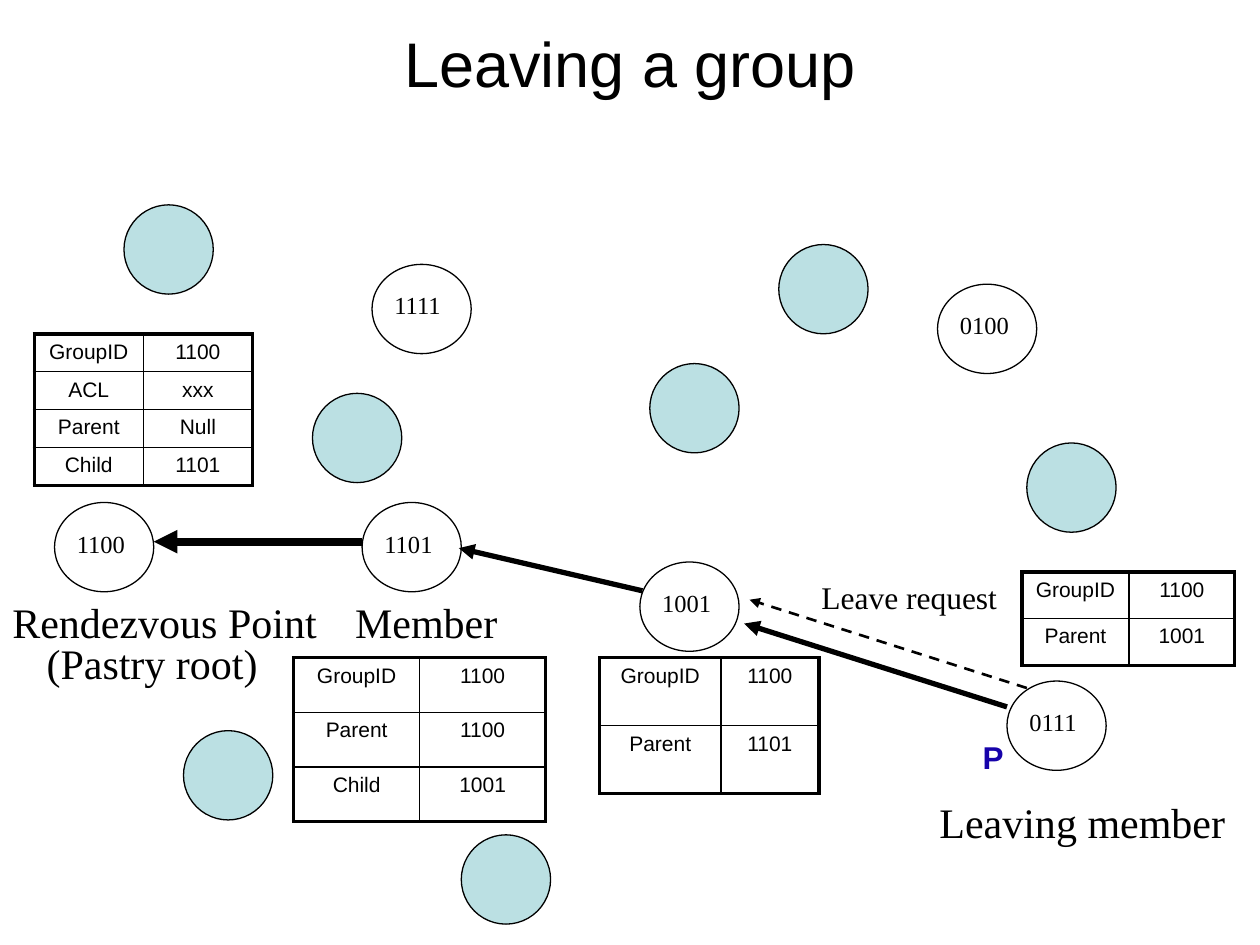
from lxml import etree
from pptx import Presentation
from pptx.dml.color import RGBColor
from pptx.enum.dml import MSO_LINE
from pptx.enum.shapes import MSO_CONNECTOR, MSO_SHAPE
from pptx.enum.text import MSO_ANCHOR, PP_ALIGN
from pptx.oxml.ns import qn
from pptx.util import Cm, Pt

BLACK = RGBColor(0x00, 0x00, 0x00)
PALE_TEAL = RGBColor(0xBB, 0xE0, 0xE3)
INDIGO = RGBColor(0x16, 0x02, 0xAA)
SANS, SERIF = "Arial", "Times New Roman"
OVAL, STRAIGHT = MSO_SHAPE.OVAL, MSO_CONNECTOR.STRAIGHT
LEFT, CENTER, MIDDLE = PP_ALIGN.LEFT, PP_ALIGN.CENTER, MSO_ANCHOR.MIDDLE
DASH = MSO_LINE.DASH
INNER_BORDER, OUTER_BORDER = Pt(1), Pt(2.25)


class GroupSlide:
    """Draws the elements of one slide; all lengths are in centimetres."""

    def __init__(self, slide):
        self.slide = slide
        self.shapes = slide.shapes

    def style(self, paragraph, size, font, color=BLACK, bold=False, align=LEFT):
        paragraph.alignment = align
        for run in paragraph.runs:
            run.font.size = Pt(size)
            run.font.name = font
            run.font.bold = bold
            run.font.color.rgb = color

    def title(self, text):
        frame = self.shapes.add_textbox(Cm(1.27), Cm(0.2), Cm(22.86), Cm(2.11)).text_frame
        frame.word_wrap = True
        frame.vertical_anchor = MIDDLE
        frame.text = text
        self.style(frame.paragraphs[0], 36, SANS, align=CENTER)

    def label(self, text, x, y, width, height=1.27, size=24, font=SERIF, **look):
        frame = self.shapes.add_textbox(Cm(x), Cm(y), Cm(width), Cm(height)).text_frame
        frame.word_wrap = False
        frame.text = text
        self.style(frame.paragraphs[0], size, font, **look)

    def circle(self, x, y, width=1.8, fill=PALE_TEAL):
        circle = self.shapes.add_shape(OVAL, Cm(x), Cm(y), Cm(width), Cm(1.8))
        circle.shadow.inherit = False
        if fill is None:
            circle.fill.background()
        else:
            circle.fill.solid()
            circle.fill.fore_color.rgb = fill
        circle.line.color.rgb = BLACK
        circle.line.width = Pt(0.75)

    def node(self, node_id, x, y):
        self.circle(x, y, width=2, fill=None)
        self.label(node_id, x + 0.2, y + 0.4, 1.5, 0.84, size=14)

    def arrow(self, start, end, weight, dash=None):
        arrow = self.shapes.add_connector(STRAIGHT, *map(Cm, start + end))
        arrow.line.color.rgb = BLACK
        arrow.line.width = Pt(weight)
        if dash is not None:
            arrow.line.dash_style = dash
        properties = arrow._element.spPr
        etree.SubElement(properties.find(qn("a:ln")), qn("a:tailEnd"), type="triangle")
        etree.SubElement(properties, qn("a:effectLst"))

    def border(self, cell, side, width):
        properties = cell._tc.get_or_add_tcPr()
        line = etree.SubElement(properties, qn(f"a:ln{side}"), w=str(width))
        fill = etree.SubElement(line, qn("a:solidFill"))
        etree.SubElement(fill, qn("a:srgbClr"), val=str(BLACK))

    def state_table(self, x, y, column_widths, row_height, entries):
        """Draws the group state held by a node as name and value rows."""
        table = self.shapes.add_table(
            len(entries), 2, Cm(x), Cm(y),
            Cm(sum(column_widths)), Cm(row_height * len(entries))).table
        table.first_row = table.horz_banding = False
        for column, width in zip(table.columns, column_widths):
            column.width = Cm(width)
        last_row = len(entries) - 1
        for r, entry in enumerate(entries):
            table.rows[r].height = Cm(row_height)
            for c, text in enumerate(entry):
                cell = table.cell(r, c)
                cell.text = text
                self.style(cell.text_frame.paragraphs[0], 12, SANS, align=CENTER)
                on_edge = {"L": c == 0, "R": c == 1, "T": r == 0, "B": r == last_row}
                for side, outer in on_edge.items():
                    self.border(cell, side, OUTER_BORDER if outer else INNER_BORDER)
                cell.fill.background()


def main():
    deck = Presentation()
    deck.slide_width, deck.slide_height = Cm(25.4), Cm(19.05)
    page = GroupSlide(deck.slides.add_slide(deck.slide_layouts[6]))

    page.title("Leaving a group")

    for x, y in [(2.5, 4.13), (6.3, 7.93), (3.7, 14.73), (13.1, 7.33),
                 (20.7, 8.93), (15.7, 4.93), (9.3, 16.83)]:
        page.circle(x, y)

    for node_id, x, y in [("1100", 1.1, 10.13), ("1101", 7.3, 10.13),
                          ("1111", 7.5, 5.33), ("1001", 12.9, 11.33),
                          ("0111", 20.3, 13.73), ("0100", 18.9, 5.73)]:
        page.node(node_id, x, y)

    group = ("GroupID", "1100")
    page.state_table(0.69, 6.73, (2.2, 2.2), 0.76,
                     [group, ("ACL", "xxx"), ("Parent", "Null"), ("Child", "1101")])
    page.state_table(5.92, 13.26, (2.54, 2.54), 1.1,
                     [group, ("Parent", "1100"), ("Child", "1001")])
    page.state_table(12.09, 13.26, (2.44, 1.98), 1.37, [group, ("Parent", "1101")])
    page.state_table(20.6, 11.53, (2.16, 2.13), 0.94, [group, ("Parent", "1001")])

    page.label("Rendezvous Point", 0, 11.91, 6.65)
    page.label("(Pastry root)", 0.69, 12.73, 4.78)
    page.label("Member", 6.91, 11.91, 3.38)
    page.label("Leaving member", 18.69, 15.93, 6.27)
    page.label("Leave request", 16.31, 11.53, 4.06, 1.02, size=18)
    page.label("P", 19.56, 14.76, 0.94, 1.02, size=18, font=SANS, color=INDIGO, bold=True)

    page.arrow((7.3, 10.92), (3.1, 10.92), 4.5)
    page.arrow((12.95, 11.91), (9.25, 11.05), 3)
    page.arrow((20.3, 14.25), (15, 12.57), 3)
    page.arrow((20.7, 13.87), (15.11, 12.09), 1.5, DASH)

    deck.save("out.pptx")


if __name__ == "__main__":
    main()
